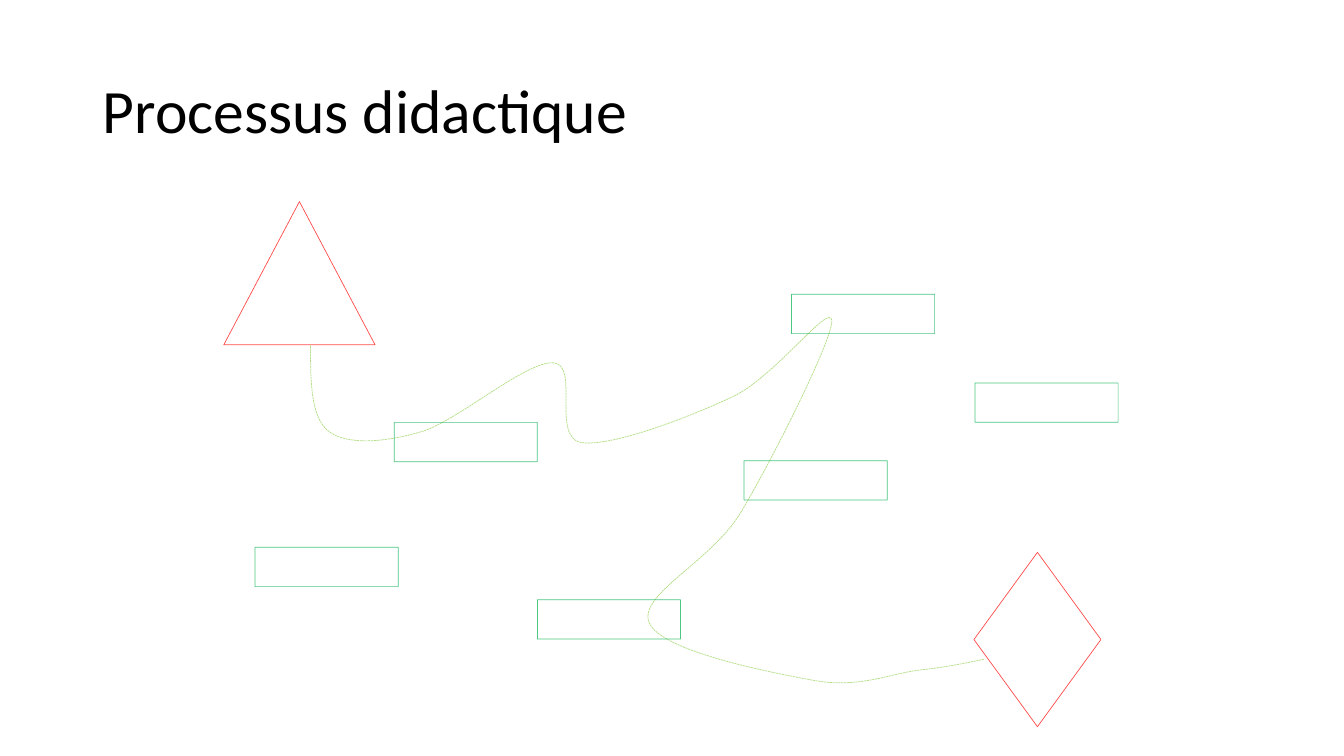
"""Build the slide "Processus didactique": a winding route from a triangle to a diamond."""
from lxml.etree import SubElement
from pptx import Presentation
from pptx.dml.color import RGBColor
from pptx.enum.dml import MSO_LINE
from pptx.enum.shapes import MSO_SHAPE
from pptx.enum.text import MSO_ANCHOR, PP_ALIGN
from pptx.oxml.ns import qn
from pptx.util import Inches, Pt

BLACK = RGBColor(0x00, 0x00, 0x00)
RED = RGBColor(0xFF, 0x00, 0x00)
GREEN = RGBColor(0x00, 0xB0, 0x50)
LIME = RGBColor(0x92, 0xD0, 0x50)

STEP_SIZE = (1.42, 0.39)
STEPS = [(3.91, 4.19), (5.33, 5.95), (7.38, 4.57), (7.85, 2.92), (2.53, 5.43), (9.67, 3.8)]

ROUTE_START = (3.08, 3.43)
ROUTE_CURVES = [
    [(3.08, 3.78), (3.08, 4.14), (3.26, 4.28)],
    [(3.45, 4.42), (3.82, 4.39), (4.19, 4.28)],
    [(4.56, 4.16), (5.22, 3.58), (5.49, 3.6)],
    [(5.75, 3.62), (5.47, 4.33), (5.76, 4.39)],
    [(6.06, 4.44), (6.86, 4.13), (7.28, 3.93)],
    [(7.69, 3.73), (8.24, 2.99), (8.25, 3.18)],
    [(8.26, 3.37), (7.65, 4.58), (7.35, 5.08)],
    [(7.05, 5.58), (6.32, 5.9), (6.44, 6.18)],
    [(6.56, 6.46), (7.63, 6.67), (8.07, 6.75)],
    [(8.51, 6.83), (8.81, 6.69), (9.1, 6.65)],
    [(9.38, 6.62), (9.57, 6.58), (9.76, 6.54)],
]


def set_title(slide, text):
    sp = slide.shapes.title
    sp.left, sp.top, sp.width, sp.height = map(Inches, (0.92, 0.4, 11.5, 1.45))
    tf = sp.text_frame
    tf.word_wrap = True
    tf.vertical_anchor = MSO_ANCHOR.MIDDLE
    p = tf.paragraphs[0]
    p.alignment = PP_ALIGN.LEFT
    p.line_spacing = 0.9
    r = p.add_run()
    r.text = text
    r.font.name = "Calibri"
    r.font.size = Pt(44)
    r.font.color.rgb = BLACK


def style_outline(sp, color):
    sp.shadow.inherit = False
    sp.fill.background()
    sp.line.color.rgb = color
    sp.line.width = Pt(0.5)
    for clr in sp.line._ln.iter(qn("a:srgbClr")):
        SubElement(clr, qn("a:alpha"), val="70000")


def add_outline(slide, kind, box, color):
    sp = slide.shapes.add_shape(kind, *map(Inches, box))
    style_outline(sp, color)


def add_route(slide, start, curves, color):
    points = [(Inches(x), Inches(y)) for curve in curves for x, y in curve]
    builder = slide.shapes.build_freeform(Inches(start[0]), Inches(start[1]))
    builder.add_line_segments(points, close=False)
    sp = builder.convert_to_shape()
    segments = list(sp._element.iter(qn("a:lnTo")))
    outline = segments[0].getparent()
    for i in range(0, len(segments), 3):
        bezier = SubElement(outline, qn("a:cubicBezTo"))
        for segment in segments[i:i + 3]:
            bezier.append(segment[0])
            outline.remove(segment)
    style_outline(sp, color)
    sp.line.dash_style = MSO_LINE.SQUARE_DOT


def main():
    prs = Presentation()
    prs.slide_width, prs.slide_height = Inches(13.33), Inches(7.5)
    slide = prs.slides.add_slide(prs.slide_layouts[5])
    set_title(slide, "Processus didactique")
    add_outline(slide, MSO_SHAPE.ISOSCELES_TRIANGLE, (2.22, 2, 1.5, 1.42), RED)
    add_outline(slide, MSO_SHAPE.DIAMOND, (9.66, 5.48, 1.26, 1.73), RED)
    add_route(slide, ROUTE_START, ROUTE_CURVES, LIME)
    for step in STEPS:
        add_outline(slide, MSO_SHAPE.RECTANGLE, step + STEP_SIZE, GREEN)
    prs.save("out.pptx")


if __name__ == "__main__":
    main()
